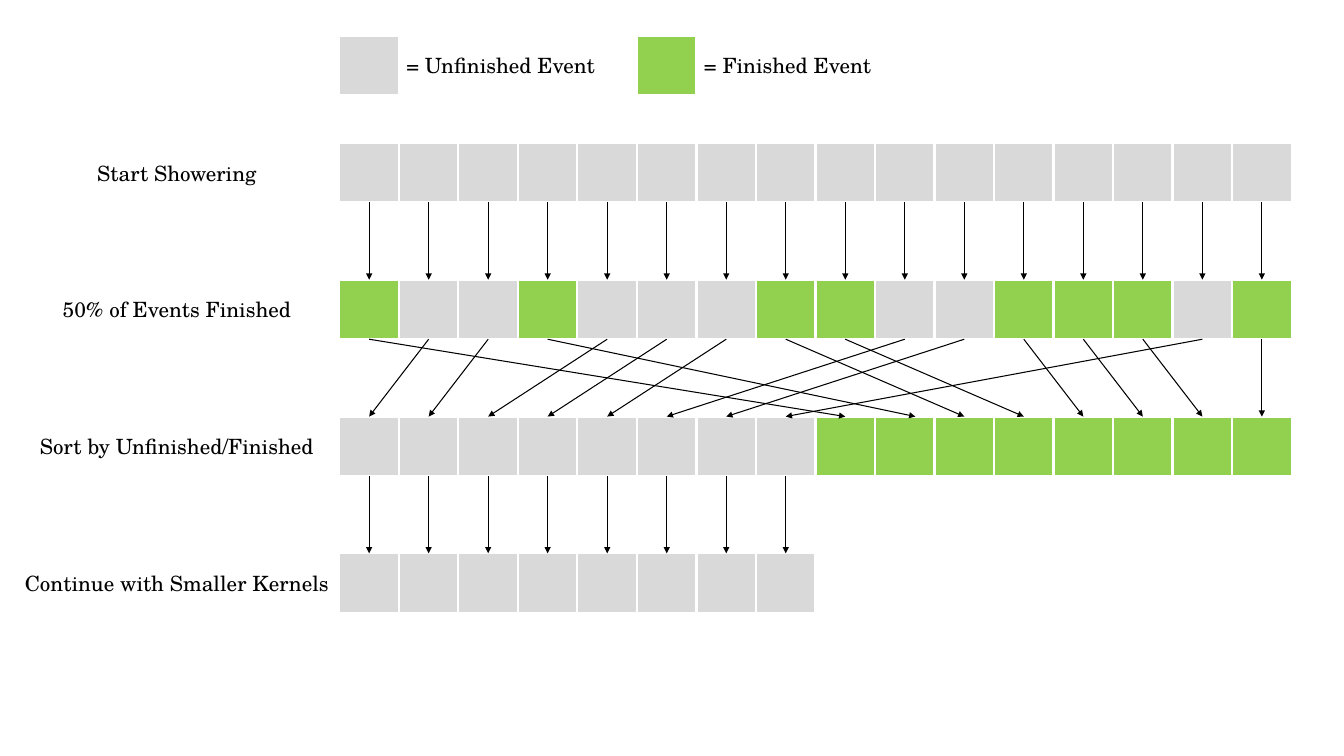
from dataclasses import dataclass

from lxml import etree
from pptx import Presentation
from pptx.dml.color import RGBColor
from pptx.enum.shapes import MSO_CONNECTOR, MSO_SHAPE
from pptx.enum.text import MSO_ANCHOR, PP_ALIGN
from pptx.oxml.ns import qn
from pptx.util import Inches, Pt

RECT = MSO_SHAPE.RECTANGLE
STRAIGHT = MSO_CONNECTOR.STRAIGHT
MIDDLE = MSO_ANCHOR.MIDDLE
LEFT, CENTER = PP_ALIGN.LEFT, PP_ALIGN.CENTER


@dataclass(frozen=True)
class Theme:
    unfinished: RGBColor = RGBColor(0xD9, 0xD9, 0xD9)
    finished: RGBColor = RGBColor(0x92, 0xD0, 0x50)
    border: RGBColor = RGBColor(0xFF, 0xFF, 0xFF)
    ink: RGBColor = RGBColor(0, 0, 0)
    font: str = "TeX Gyre Schola"
    text_size: int = 20
    border_width: int = 2
    arrow_width: int = 1


@dataclass(frozen=True)
class Stage:
    label: str
    finished: tuple[bool, ...]


@dataclass(frozen=True)
class Legend:
    label: str
    column: int
    finished: bool


THEME = Theme()
EVENTS = 16
CELL = 11.81 / (EVENTS - 1)
GRID_LEFT = 4.49
GRID_TOP = 1.89
ROW_PITCH = 1.81
LEGEND_TOP = 0.47
LEGEND_WIDTH = 3.15
LABEL_LEFT = 0.2
LABEL_WIDTH = 4.28
TARGET_NUDGE = {9: 0.14}

DONE = {0, 3, 7, 8, 11, 12, 13, 15}
HALFWAY = tuple(i in DONE for i in range(EVENTS))
ORDER = sorted(range(EVENTS), key=lambda i: HALFWAY[i])
REMAINING = EVENTS - len(DONE)

STAGES = [
    Stage("Start Showering", (False,) * EVENTS),
    Stage("50% of Events Finished", HALFWAY),
    Stage("Sort by Unfinished/Finished", tuple(HALFWAY[i] for i in ORDER)),
    Stage("Continue with Smaller Kernels", (False,) * REMAINING),
]
LEGENDS = [
    Legend("= Unfinished Event", 0, False),
    Legend("= Finished Event", 5, True),
]


def column_left(column: int) -> float:
    return GRID_LEFT + column * CELL


def row_top(row: int) -> float:
    return GRID_TOP + row * ROW_PITCH


def draw_cell(shapes, column: int, top: float, finished: bool) -> None:
    s = shapes.add_shape(RECT, Inches(column_left(column)), Inches(top),
                         Inches(CELL), Inches(CELL))
    s.shadow.inherit = False
    s.fill.solid()
    s.fill.fore_color.rgb = THEME.finished if finished else THEME.unfinished
    s.line.color.rgb = THEME.border
    s.line.width = Pt(THEME.border_width)


def draw_text(shapes, text: str, left: float, top: float, width: float,
              align: PP_ALIGN) -> None:
    tf = shapes.add_textbox(Inches(left), Inches(top),
                            Inches(width), Inches(CELL)).text_frame
    tf.word_wrap = True
    tf.vertical_anchor = MIDDLE
    tf.text = text
    p = tf.paragraphs[0]
    p.alignment = align
    font = p.runs[0].font
    font.name = THEME.font
    font.size = Pt(THEME.text_size)
    font.color.rgb = THEME.ink


def draw_arrow(shapes, row: int, source: int, target: int,
               nudge: float = 0) -> None:
    start_x = column_left(source) + CELL / 2
    end_x = column_left(target) + CELL / 2 + nudge
    c = shapes.add_connector(STRAIGHT, Inches(start_x), Inches(row_top(row) + CELL),
                             Inches(end_x), Inches(row_top(row + 1)))
    c.line.color.rgb = THEME.ink
    c.line.width = Pt(THEME.arrow_width)
    etree.SubElement(c.line._get_or_add_ln(), qn("a:tailEnd"), type="triangle")
    etree.SubElement(c._element.spPr, qn("a:effectLst"))


def draw_stage(shapes, row: int, stage: Stage) -> None:
    group = shapes.add_group_shape()
    for column, finished in enumerate(stage.finished):
        draw_cell(group.shapes, column, row_top(row), finished)
    draw_text(shapes, stage.label, LABEL_LEFT, row_top(row), LABEL_WIDTH, CENTER)


def draw_legend(shapes, legend: Legend) -> None:
    draw_cell(shapes, legend.column, LEGEND_TOP, legend.finished)
    draw_text(shapes, legend.label, column_left(legend.column + 1), LEGEND_TOP,
              LEGEND_WIDTH, LEFT)


def main() -> None:
    prs = Presentation()
    prs.slide_width, prs.slide_height = Inches(17.78), Inches(10)
    shapes = prs.slides.add_slide(prs.slide_layouts[6]).shapes
    for row, stage in enumerate(STAGES):
        draw_stage(shapes, row, stage)
    for legend in LEGENDS:
        draw_legend(shapes, legend)
    for column in range(EVENTS):
        draw_arrow(shapes, 0, column, column)
    for target, source in enumerate(ORDER):
        draw_arrow(shapes, 1, source, target, TARGET_NUDGE.get(target, 0))
    for column in range(REMAINING):
        draw_arrow(shapes, 2, column, column)
    prs.save("out.pptx")


if __name__ == "__main__":
    main()
